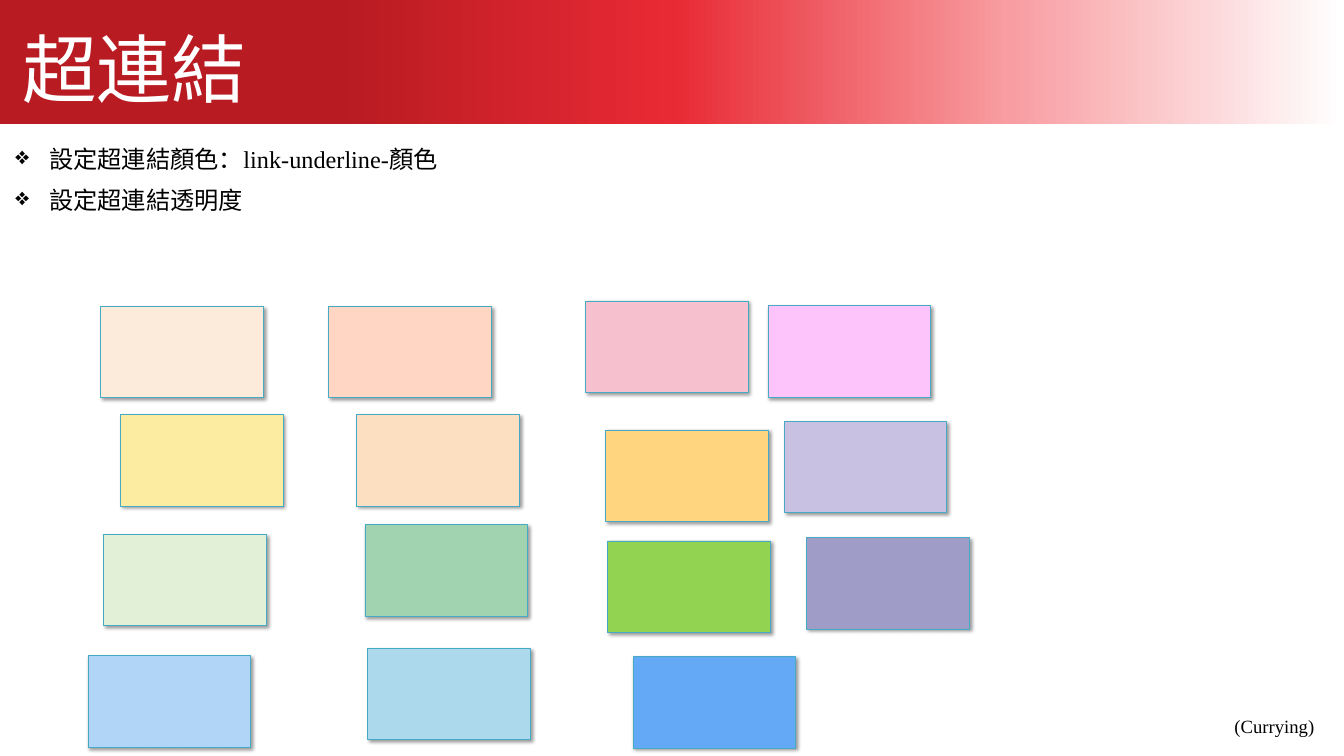
from dataclasses import dataclass

from lxml.etree import SubElement
from pptx import Presentation
from pptx.dml.color import RGBColor
from pptx.enum.shapes import MSO_SHAPE as Preset
from pptx.enum.text import MSO_ANCHOR as Anchor, MSO_AUTO_SIZE as AutoSize, PP_ALIGN as Align
from pptx.oxml.ns import qn
from pptx.util import Inches, Pt

COLUMNS, ROWS = 20, 11.25
SWATCH_SIZE = (2.42, 1.36)
SWATCHES = [
    [(1.5, 4.56, "FCEADB"), (4.89, 4.56, "FFD5C4"), (8.71, 4.48, "F6C0CE"), (11.43, 4.55, "FCC4FB")],
    [(1.79, 6.17, "FBECA2"), (5.31, 6.17, "FCDFC0"), (9.01, 6.4, "FFD580"), (11.67, 6.27, "C9C1E1")],
    [(1.54, 7.95, "E2F0D7"), (5.43, 7.81, "A2D3B0"), (9.04, 8.05, "93D352"), (12, 8, "9F9DC8")],
    [(1.31, 9.76, "B1D5F7"), (5.47, 9.65, "ADD9ED"), (9.42, 9.77, "64A9F6")],
]


@dataclass(frozen=True)
class Theme:
    font: str = "Times New Roman"
    ink: str = "000000"
    title_ink: str = "FFFFFF"
    outline: str = "46AAC5"
    shadow: str = "000000"
    band: tuple = ("B81B22", "B81B22", "E82A34", "F89DA1", "FFFFFF")
    title_size: int = 80
    body_size: int = 26
    note_size: int = 20


def write_text(box, lines, *, size, font, color, align=Align.LEFT, spacing=None, bullet=None, inset=None):
    frame = box.text_frame
    frame.word_wrap = True
    frame.auto_size = AutoSize.SHAPE_TO_FIT_TEXT
    frame.vertical_anchor = Anchor.TOP
    if inset is not None:
        frame.margin_left = frame.margin_right = inset
        frame.margin_top = frame.margin_bottom = inset
    for index, line in enumerate(lines):
        para = frame.paragraphs[0] if index == 0 else frame.add_paragraph()
        para.alignment = align
        if spacing:
            para.line_spacing = Pt(spacing)
        if bullet:
            properties = para._p.get_or_add_pPr()
            properties.set("marL", str(Inches(0.5)))
            properties.set("indent", str(Inches(-0.5)))
            SubElement(properties, qn("a:buChar"), char=bullet)
        span = para.add_run()
        span.text = line
        span.font.name = font
        span.font.size = Pt(size)
        span.font.color.rgb = RGBColor.from_string(color)


class SlideBuilder:
    def __init__(self, deck, theme):
        self.theme = theme
        self.column = deck.slide_width / COLUMNS
        self.row = deck.slide_height / ROWS
        self.page = deck.slides.add_slide(deck.slide_layouts[5])

    def place(self, left, top, width, height):
        return (int(left * self.column), int(top * self.row),
                int(width * self.column), int(height * self.row))

    def rectangle(self, *area):
        shape = self.page.shapes.add_shape(Preset.RECTANGLE, *self.place(*area))
        shape.shadow.inherit = False
        return shape

    def band(self, *area):
        shape = self.rectangle(*area)
        shape.line.fill.background()
        shape.fill.gradient()
        shape.fill.gradient_angle = 0
        stops = shape.element.spPr.find(qn("a:gradFill")).find(qn("a:gsLst"))
        for stop in list(stops):
            stops.remove(stop)
        step = 100000 // (len(self.theme.band) - 1)
        for index, color in enumerate(self.theme.band):
            stop = SubElement(stops, qn("a:gs"), pos=str(index * step))
            SubElement(stop, qn("a:srgbClr"), val=color)

    def title(self, text, *area):
        box = self.page.shapes.title
        box.left, box.top, box.width, box.height = self.place(*area)
        box.element.getparent().append(box.element)
        write_text(box, [text], size=self.theme.title_size, font=self.theme.font,
                   color=self.theme.title_ink, spacing=112, inset=0)

    def text(self, lines, *area, **style):
        box = self.page.shapes.add_textbox(*self.place(*area))
        write_text(box, lines, font=self.theme.font, color=self.theme.ink, **style)

    def swatch(self, left, top, color):
        shape = self.rectangle(left, top, *SWATCH_SIZE)
        shape.fill.solid()
        shape.fill.fore_color.rgb = RGBColor.from_string(color)
        shape.line.color.rgb = RGBColor.from_string(self.theme.outline)
        shape.line.width = Pt(0.75)
        effects = shape.element.spPr.find(qn("a:effectLst"))
        shadow = SubElement(effects, qn("a:outerShdw"), blurRad=str(Pt(4)), dist=str(Pt(3)),
                            dir=str(45 * 60000), algn="tl", rotWithShape="0")
        tint = SubElement(shadow, qn("a:srgbClr"), val=self.theme.shadow)
        SubElement(tint, qn("a:alpha"), val="40000")


def main():
    deck = Presentation()
    deck.slide_width, deck.slide_height = Inches(20), Inches(11.25)
    theme = Theme()
    slide = SlideBuilder(deck, theme)
    slide.text(["設定超連結顏色：link-underline-顏色", "設定超連結透明度"], 0.23, 1.95, 8.9, 1.19,
               size=theme.body_size, spacing=44.8, bullet="❖", inset=0)
    slide.band(0, 0, COLUMNS, 1.85)
    slide.title("超連結", 0.33, 0.12, 10.47, 1.45)
    slide.text(["(Currying)"], 18.27, 10.59, 1.4, 0.44, size=theme.note_size)
    for swatch_row in SWATCHES:
        for left, top, color in swatch_row:
            slide.swatch(left, top, color)
    deck.save("out.pptx")


if __name__ == "__main__":
    main()
